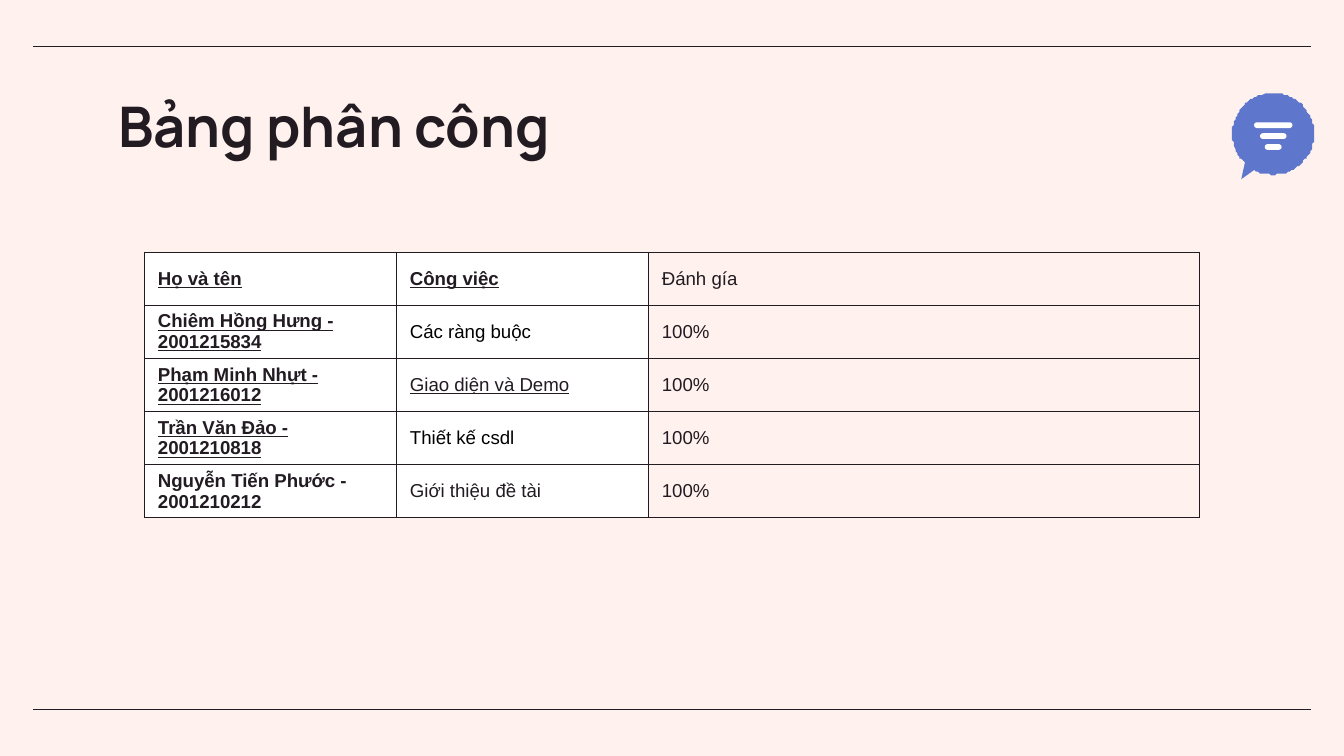
import math

import pptx
import pptx.dml.color
import pptx.enum.shapes
import pptx.enum.text
import pptx.oxml
import pptx.oxml.ns
import pptx.util
from pptx.util import Pt

COLORS = {"paper": "FFF2EE", "ink": "221B22", "bubble": "5E77CC",
          "white": "FFFFFF", "black": "000000"}
PLAIN = {"bold": False, "underline": False}
BOLD = {"bold": True, "underline": False}
UNDERLINED = {"bold": False, "underline": True}
STRONG = {"bold": True, "underline": True}

# Each cell: text, font format, colour
ASSIGNMENTS = [
    [("Họ và tên", STRONG, "ink"), ("Công việc", STRONG, "ink"),
     ("Đánh gía", PLAIN, "ink")],
    [("Chiêm Hồng Hưng - 2001215834", STRONG, "ink"),
     ("Các ràng buộc", PLAIN, "black"), ("100%", PLAIN, "ink")],
    [("Phạm Minh Nhựt - 2001216012", STRONG, "ink"),
     ("Giao diện và Demo", UNDERLINED, "ink"), ("100%", PLAIN, "ink")],
    [("Trần Văn Đảo - 2001210818", STRONG, "ink"),
     ("Thiết kế csdl", PLAIN, "black"), ("100%", PLAIN, "ink")],
    [("Nguyễn Tiến Phước -\n2001210212", BOLD, "ink"),
     ("Giới thiệu đề tài", PLAIN, "ink"), ("100%", PLAIN, "ink")],
]


def rgb(name):
    return pptx.dml.color.RGBColor.from_string(COLORS[name])


def apply_format(target, values):
    for attribute, value in values.items():
        setattr(target, attribute, value)


def paint(shape, color):
    shape.shadow.inherit = False
    shape.fill.solid()
    shape.fill.fore_color.rgb = rgb(color)
    shape.line.fill.background()


def add_rules(slide, left, top, width, height):
    """Draw a thin line along the top and the bottom of the box."""
    for y in (top, top + height):
        rule = slide.shapes.add_connector(
            pptx.enum.shapes.MSO_CONNECTOR.STRAIGHT,
            Pt(left), Pt(y), Pt(left + width), Pt(y))
        rule.line.color.rgb = rgb("ink")
        rule.line.width = Pt(0.75)
        properties = rule._element.spPr
        properties.append(properties.makeelement(pptx.oxml.ns.qn("a:effectLst"), {}))


def add_speech_bubble(slide, left, top, diameter):
    """Draw a round bubble with a tail at lower left and three centred bars."""
    radius = diameter / 2
    center_x, center_y = left + radius, top + radius
    outline = [(center_x + radius * math.cos(math.radians(angle)),
                center_y + radius * math.sin(math.radians(angle)))
               for angle in range(135, 478, 3)]
    tail_tip = (left + 5, top + diameter + 2.9)
    builder = slide.shapes.build_freeform(*outline[0], scale=float(Pt(1)))
    builder.add_line_segments(outline[1:] + [tail_tip], close=True)
    paint(builder.convert_to_shape(), "bubble")

    for index, width in enumerate((20.6, 14.2, 9)):
        bar = slide.shapes.add_shape(
            pptx.enum.shapes.MSO_SHAPE.ROUNDED_RECTANGLE,
            Pt(center_x - width / 2), Pt(top + 15.7 + index * 5.85),
            Pt(width), Pt(3.1))
        bar.adjustments[0] = 0.5
        paint(bar, "white")


def add_title(slide, left, top, width, height):
    title = slide.shapes.title
    apply_format(title, {"left": Pt(left), "top": Pt(top),
                         "width": Pt(width), "height": Pt(height)})
    frame = title.text_frame
    frame.text = "Bảng phân công"
    margins = dict.fromkeys(
        ("margin_left", "margin_top", "margin_right", "margin_bottom"), Pt(7.2))
    apply_format(frame, {**margins, "word_wrap": True,
                         "auto_size": pptx.enum.text.MSO_AUTO_SIZE.NONE,
                         "vertical_anchor": pptx.enum.text.MSO_ANCHOR.TOP})
    heading = frame.paragraphs[0]
    heading.alignment = pptx.enum.text.PP_ALIGN.LEFT
    apply_format(heading.runs[0].font,
                 {"name": "Manrope", "size": Pt(30), "bold": True})
    heading.runs[0].font.color.rgb = rgb("ink")


def add_borders(cell):
    properties = cell._tc.get_or_add_tcPr()
    for side in ("lnL", "lnR", "lnT", "lnB"):
        properties.append(pptx.oxml.parse_xml(
            f'<a:{side} {pptx.oxml.ns.nsdecls("a")} w="{Pt(0.75)}"><a:solidFill>'
            f'<a:srgbClr val="{COLORS["ink"]}"/></a:solidFill></a:{side}>'))


def fill_cell(cell, text, style, color):
    add_borders(cell)
    apply_format(cell, {"margin_left": Pt(7.2), "margin_right": Pt(7.2),
                        "margin_top": 0, "margin_bottom": 0,
                        "vertical_anchor": pptx.enum.text.MSO_ANCHOR.MIDDLE})
    cell.text_frame.text = text
    for paragraph in cell.text_frame.paragraphs:
        font = paragraph.runs[0].font
        apply_format(font, {"name": "Arial", "size": Pt(10), **style})
        font.color.rgb = rgb(color)


def add_assignments(slide, left, top, width, height):
    name_width = 135
    widths = (name_width, name_width, width - 2 * name_width)
    table = slide.shapes.add_table(len(ASSIGNMENTS), len(widths), Pt(left), Pt(top),
                                   Pt(width), Pt(height)).table
    apply_format(table, {"first_row": False, "horz_banding": False})
    for column, column_width in zip(table.columns, widths):
        column.width = Pt(column_width)
    for row, entries in zip(table.rows, ASSIGNMENTS):
        row.height = Pt(height / len(ASSIGNMENTS))
        for index, (cell, entry) in enumerate(zip(row.cells, entries)):
            fill_cell(cell, *entry)
            if index < 2:
                cell.fill.solid()
                cell.fill.fore_color.rgb = rgb("white")
            else:
                cell.fill.background()


def main():
    deck = pptx.Presentation()
    apply_format(deck, {"slide_width": Pt(720), "slide_height": Pt(405)})
    slide = deck.slides.add_slide(deck.slide_layouts[5])
    slide.background.fill.solid()
    slide.background.fill.fore_color.rgb = rgb("paper")
    add_rules(slide, 17.8, 24.9, 684.4, 355.2)
    add_speech_bubble(slide, 660.2, 49.8, 43.8)
    add_title(slide, 56.2, 41.6, 607.6, 45)
    add_assignments(slide, 77.4, 135.2, 565.2, 142.25)
    deck.save("out.pptx")


if __name__ == "__main__":
    main()
